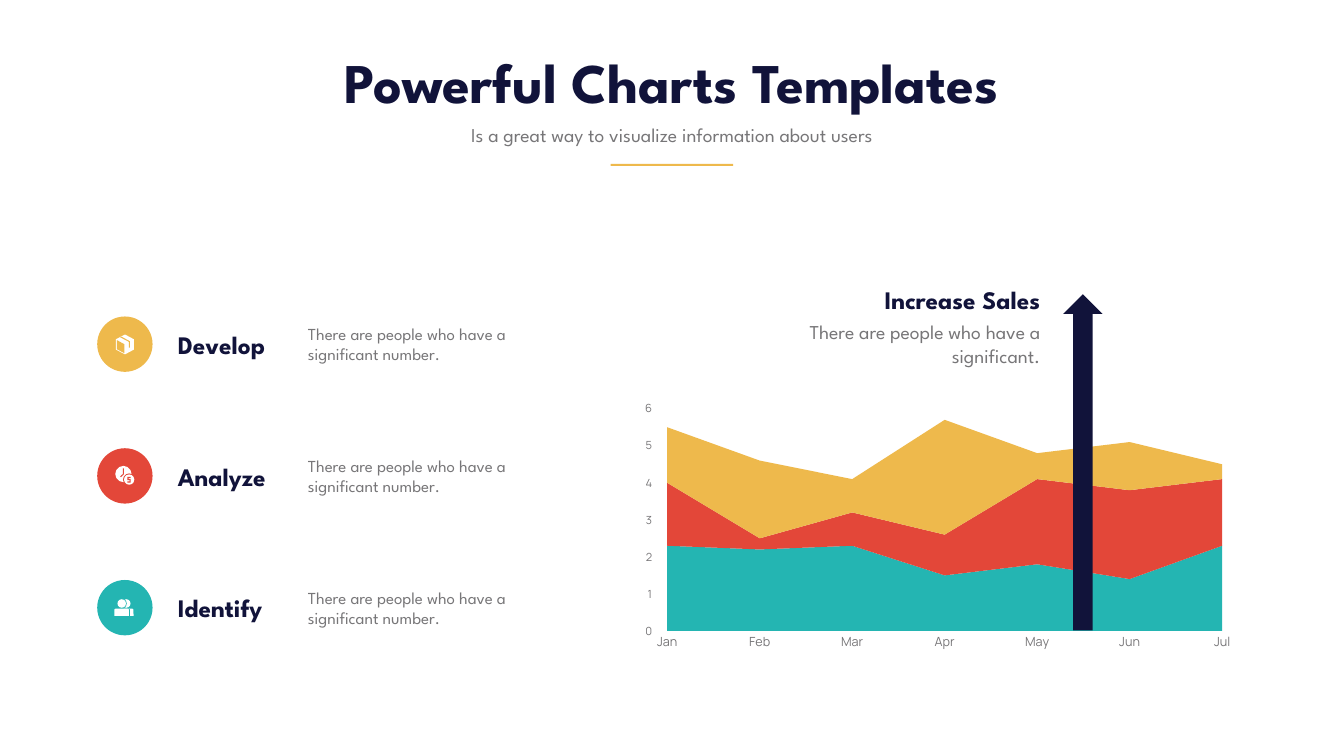
from dataclasses import dataclass

from lxml.etree import SubElement
from pptx import Presentation
from pptx.chart.data import CategoryChartData
from pptx.dml.color import RGBColor
from pptx.enum.chart import XL_CHART_TYPE as ChartType, XL_TICK_MARK as TickMark
from pptx.enum.shapes import MSO_SHAPE as Preset
from pptx.enum.text import MSO_AUTO_SIZE as AutoSize, PP_ALIGN as Align
from pptx.oxml.ns import qn
from pptx.util import Cm, Pt


@dataclass(frozen=True)
class Theme:
    yellow: str = "EEB94C"
    red: str = "E34739"
    teal: str = "24B5B2"
    navy: str = "11133A"
    gray: str = "777678"
    white: str = "FFFFFF"
    text_font: str = "League Spartan"
    chart_font: str = "Manrope"
    title: int = 80
    heading: int = 36
    lead: int = 28
    body: int = 24
    category: int = 18
    value: int = 16


class SlideBuilder:
    def __init__(self, slide, theme):
        self.slide = slide
        self.theme = theme

    def paint(self, shape, color):
        shape.shadow.inherit = False
        shape.fill.solid()
        shape.fill.fore_color.rgb = RGBColor.from_string(color)
        shape.line.fill.background()

    def shape(self, preset, left, top, width, height, color):
        box = (Cm(value) for value in (left, top, width, height))
        self.paint(self.slide.shapes.add_shape(preset, *box), color)

    def polygon(self, left, top, points, color):
        """Draw a closed outline whose points are relative to left, top."""
        corners = [(Cm(left + x), Cm(top + y)) for x, y in points]
        builder = self.slide.shapes.build_freeform(*corners[0], scale=1.0)
        builder.add_line_segments(corners[1:], close=True)
        self.paint(builder.convert_to_shape(), color)

    def text(self, text, left, top, width, height, size,
             color=None, bold=False, align=Align.LEFT):
        box = (Cm(value) for value in (left, top, width, height))
        text_frame = self.slide.shapes.add_textbox(*box).text_frame
        text_frame.word_wrap = True
        text_frame.auto_size = AutoSize.SHAPE_TO_FIT_TEXT
        text_frame.text = text
        paragraph = text_frame.paragraphs[0]
        paragraph.alignment = align
        font = paragraph.runs[0].font
        font.name = self.theme.text_font
        font.size = Pt(size)
        font.bold = bold
        font.color.rgb = RGBColor.from_string(color or self.theme.gray)

    def area_chart(self, categories, series, frame, plot_box, maximum):
        """Add a stacked area chart; series holds (name, color, values)."""
        data = CategoryChartData(number_format="0.0")
        data.categories = categories
        for name, _, values in series:
            data.add_series(name, values)
        box = (Cm(value) for value in frame)
        chart = self.slide.shapes.add_chart(
            ChartType.AREA_STACKED, *box, data).chart
        chart.has_legend = False
        chart.has_title = False
        chart.font.name = self.theme.chart_font
        chart.font.color.rgb = RGBColor.from_string(self.theme.gray)
        plot = chart.plots[0]
        plot.vary_by_categories = False
        for item, (_, color, _) in zip(plot.series, series):
            item.format.fill.solid()
            item.format.fill.fore_color.rgb = RGBColor.from_string(color)
            item.format.line.fill.background()

        axes = ((chart.category_axis, self.theme.category),
                (chart.value_axis, self.theme.value))
        for axis, size in axes:
            axis.has_major_gridlines = False
            axis.major_tick_mark = axis.minor_tick_mark = TickMark.NONE
            axis.format.line.fill.background()
            axis.tick_labels.font.size = Pt(size)
        value_axis = chart.value_axis
        value_axis.minimum_scale = 0
        value_axis.maximum_scale = maximum
        value_axis.major_unit = 1
        # Each _W pads the label away from the axis by the width of a W.
        value_axis.tick_labels.number_format = "0_W_W"
        value_axis.tick_labels.number_format_is_linked = False
        for crossing in chart.element.xpath(".//c:crossBetween"):
            crossing.set("val", "midCat")
        self.place_plot(chart, frame, plot_box)

    def place_plot(self, chart, frame, plot_box):
        """Fix the inner plot area, given in slide centimetres."""
        plot_area = chart.element.xpath(".//c:plotArea")[0]
        for old_layout in plot_area.findall(qn("c:layout")):
            plot_area.remove(old_layout)
        layout = SubElement(plot_area, qn("c:layout"))
        plot_area.insert(0, layout)
        manual = SubElement(layout, qn("c:manualLayout"))
        left, top, width, height = frame
        settings = {
            "layoutTarget": "inner", "xMode": "edge", "yMode": "edge",
            "x": (plot_box[0] - left) / width,
            "y": (plot_box[1] - top) / height,
            "w": plot_box[2] / width,
            "h": plot_box[3] / height,
        }
        for tag, value in settings.items():
            SubElement(manual, qn(f"c:{tag}")).set("val", str(value))

    def box_icon(self, left, top, color):
        outline = [(1.4, 0.91), (1.85, 1.15), (1.85, 1.67),
                   (1.4, 1.91), (0.94, 1.67), (0.94, 1.15)]
        face = [(0.99, 1.19), (1.37, 1.4), (1.37, 1.85), (0.99, 1.65)]
        tape = [(1.14, 1.04), (1.21, 1.01), (1.65, 1.25),
                (1.65, 1.57), (1.6, 1.57), (1.6, 1.28)]
        self.polygon(left, top, outline, self.theme.white)
        self.polygon(left, top, face, color)
        self.polygon(left, top, tape, color)

    def clock_icon(self, left, top, color):
        hands = [(1.3, 1.02), (1.34, 1.02), (1.34, 1.32),
                 (1.19, 1.46), (1.16, 1.42), (1.3, 1.29)]
        coin_mark = [(1.52, 1.44), (1.69, 1.44), (1.69, 1.5), (1.58, 1.5),
                     (1.58, 1.55), (1.69, 1.55), (1.69, 1.73), (1.52, 1.73),
                     (1.52, 1.67), (1.63, 1.67), (1.63, 1.61), (1.52, 1.61)]
        white = self.theme.white
        self.shape(Preset.OVAL, left + 0.91, top + 0.89, 0.82, 0.82, white)
        self.polygon(left, top, hands, color)
        self.shape(Preset.OVAL, left + 1.3, top + 1.27, 0.62, 0.62, color)
        self.shape(Preset.OVAL, left + 1.35, top + 1.32, 0.52, 0.52, white)
        self.polygon(left, top, coin_mark, color)

    def people_icon(self, left, top, color):
        white = self.theme.white
        body = Preset.ROUND_2_SAME_RECTANGLE
        parts = [
            (Preset.OVAL, 1.25, 0.97, 0.43, 0.43, white),
            (body, 1.3, 1.45, 0.53, 0.36, white),
            (Preset.OVAL, 0.98, 0.93, 0.51, 0.51, color),
            (body, 0.86, 1.45, 0.79, 0.36, color),
            (Preset.OVAL, 1.02, 0.97, 0.43, 0.43, white),
            (body, 0.86, 1.45, 0.74, 0.36, white),
        ]
        for preset, x, y, width, height, fill in parts:
            self.shape(preset, left + x, top + y, width, height, fill)


def main():
    presentation = Presentation()
    presentation.slide_width = Cm(67.74)
    presentation.slide_height = Cm(38.1)
    slide = presentation.slides.add_slide(presentation.slide_layouts[6])
    theme = Theme()
    builder = SlideBuilder(slide, theme)

    builder.text("Powerful Charts Templates", 9.86, 2.29, 48, 3.68,
                 theme.title, theme.navy, True, Align.CENTER)
    builder.text("Is a great way to visualize information about users",
                 21.72, 6.05, 24.28, 1.45, theme.lead, align=Align.CENTER)
    builder.shape(Preset.RECTANGLE, 30.78, 8.26, 6.17, 0.1, theme.yellow)

    steps = [("Develop", theme.yellow, builder.box_icon),
             ("Analyze", theme.red, builder.clock_icon),
             ("Identify", theme.teal, builder.people_icon)]
    circle_left, first_top, row_pitch = 4.9, 15.95, 6.64
    for row, (name, color, draw_icon) in enumerate(steps):
        top = first_top + row * row_pitch
        builder.shape(Preset.OVAL, circle_left, top, 2.79, 2.79, color)
        draw_icon(circle_left, top, color)
        builder.text(name, 8.71, top + 0.51, 6.81, 1.8,
                     theme.heading, theme.navy, True)
        builder.text("There are people who have a significant number.",
                     15.27, top + 0.25, 12.4, 2.31, theme.body)

    months = ["Jan", "Feb", "Mar", "Apr", "May", "Jun", "Jul"]
    series = [
        ("Identify", theme.teal, (2.3, 2.2, 2.3, 1.5, 1.8, 1.4, 2.3)),
        ("Analyze", theme.red, (1.7, 0.3, 0.9, 1.1, 2.3, 2.4, 1.8)),
        ("Develop", theme.yellow, (1.5, 2.1, 0.9, 3.1, 0.7, 1.3, 0.4)),
    ]
    builder.area_chart(months, series, frame=(30.78, 19.38, 32.5, 14.15),
                       plot_box=(33.63, 20.6, 27.97, 11.2), maximum=6)

    builder.shape(Preset.UP_ARROW, 53.59, 14.83, 1.98, 16.94, theme.navy)
    builder.text("There are people who have a significant.",
                 38.1, 16, 14.58, 2.64, theme.lead, align=Align.RIGHT)
    builder.text("Increase Sales", 40.54, 14.22, 12.14, 1.8,
                 theme.heading, theme.navy, True, Align.RIGHT)
    presentation.save("out.pptx")


if __name__ == "__main__":
    main()
